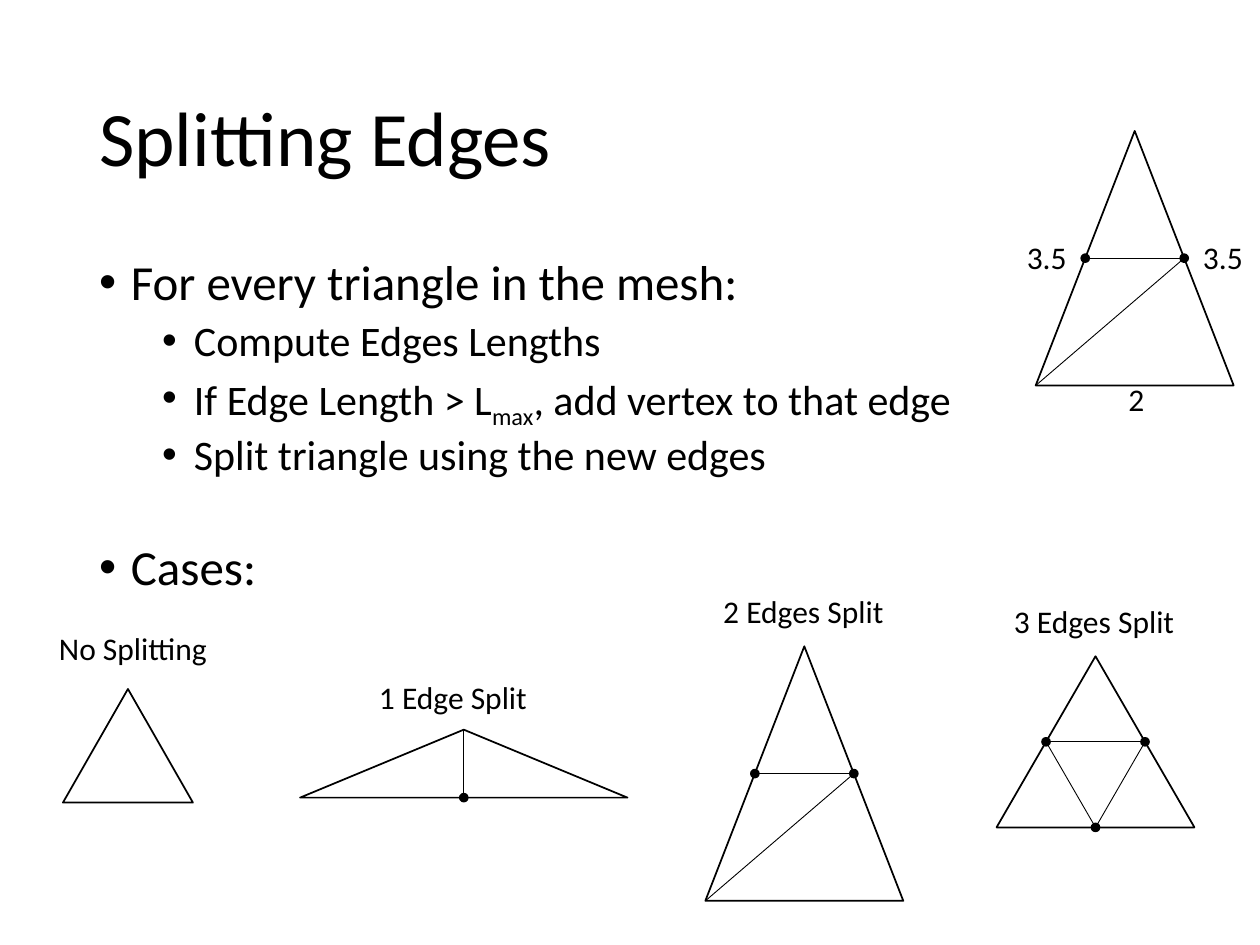
from lxml.etree import SubElement
from pptx import Presentation
from pptx.dml.color import RGBColor
from pptx.enum.shapes import MSO_CONNECTOR, MSO_SHAPE
from pptx.enum.text import MSO_ANCHOR
from pptx.oxml.ns import qn
from pptx.util import Cm, Pt

BLACK = RGBColor(0x00, 0x00, 0x00)
WHITE = RGBColor(0xFF, 0xFF, 0xFF)
FONT = "Calibri"
DOT = 0.16

# Points of a triangle as fractions of its box
APEX, CORNER = (0.5, 0), (0, 1)
LEFT, RIGHT, BASE = (0.25, 0.5), (0.75, 0.5), (0.5, 1)

# Inner edges and new vertices of each kind of split
NONE = ([], [])
ONE = ([(APEX, BASE)], [BASE])
TWO = ([(LEFT, RIGHT), (RIGHT, CORNER)], [LEFT, RIGHT])
THREE = ([(LEFT, RIGHT), (LEFT, BASE), (RIGHT, BASE)], [LEFT, RIGHT, BASE])

# Label, its left, top and width; triangle box; split
CASES = [
    ("No Splitting", (0.94, 12.55, 3.56), (1.27, 13.89, 2.62, 2.29), NONE),
    ("2 Edges Split", (14.33, 11.81, 3.78), (14.22, 13.03, 3.99, 5.13), TWO),
    ("1 Edge Split", (7.39, 13.54, 3.53), (6.05, 14.71, 6.6, 1.37), ONE),
    ("3 Edges Split", (20.19, 12.01, 3.78), (20.09, 13.23, 3.99, 3.45), THREE),
]

# Level, space before, runs as (text, is subscript)
POINTS = [
    (0, 0, [("For every triangle in the mesh:", False)]),
    (1, 5, [("Compute Edges Lengths", False)]),
    (1, 5, [("If Edge Length > L", False), ("max", True),
            (", add vertex to that edge", False)]),
    (1, 5, [("Split triangle using the new edges", False)]),
    (0, 36.4, [("Cases:", False)]),
]


def add_run(para, text, size):
    run = para.add_run()
    run.text = text
    run.font.name = FONT
    run.font.size = Pt(size)
    run.font.color.rgb = BLACK
    return run


def add_frame(shapes, box, wrap=True):
    frame = shapes.add_textbox(*map(Cm, box)).text_frame
    frame.word_wrap = wrap
    return frame


def add_label(shapes, text, left, top, width):
    frame = add_frame(shapes, (left, top, width, 1.02), wrap=False)
    add_run(frame.paragraphs[0], text, 18)


def add_solid(shapes, kind, box, fill):
    shape = shapes.add_shape(kind, *map(Cm, box))
    shape.shadow.inherit = False
    shape.fill.solid()
    shape.fill.fore_color.rgb = fill
    shape.line.color.rgb = BLACK
    shape.line.width = Pt(1)


def add_edge(shapes, start, end):
    edge = shapes.add_connector(MSO_CONNECTOR.STRAIGHT, *map(Cm, start + end))
    edge.line.color.rgb = BLACK
    edge.line.width = Pt(0.5)
    SubElement(edge._element.spPr, qn("a:effectLst"))


def add_split(shapes, box, split):
    """Draw a triangle in the box with its inner edges and new vertices."""
    left, top, width, height = box
    edges, dots = split

    def place(point):
        return left + point[0] * width, top + point[1] * height

    add_solid(shapes, MSO_SHAPE.ISOSCELES_TRIANGLE, box, WHITE)
    for start, end in edges:
        add_edge(shapes, place(start), place(end))
    for dot in dots:
        x, y = place(dot)
        spot = (x - DOT / 2, y - DOT / 2, DOT, DOT)
        add_solid(shapes, MSO_SHAPE.OVAL, spot, BLACK)


def add_title(shapes, box):
    frame = add_frame(shapes, box)
    frame.vertical_anchor = MSO_ANCHOR.MIDDLE
    para = frame.paragraphs[0]
    para.line_spacing = 0.9
    add_run(para, "Splitting Edges", 44)


def add_body(shapes, box):
    frame = add_frame(shapes, box)
    for i, (level, before, runs) in enumerate(POINTS):
        para = frame.paragraphs[0] if i == 0 else frame.add_paragraph()
        para.level = level
        para.line_spacing = 0.9
        para.space_before = Pt(before)
        props = para._p.get_or_add_pPr()
        props.set("marL", str(Cm(0.64 + 1.27 * level)))
        props.set("indent", str(Cm(-0.64)))
        SubElement(props, qn("a:buFont"), typeface="Arial")
        SubElement(props, qn("a:buChar"), char="•")
        for text, sub in runs:
            run = add_run(para, text, 24 if level else 28)
            if sub:
                run.font._element.set("baseline", "-25000")


def add_sample(shapes, box):
    """Draw the two-edge split with the lengths of its sides."""
    left, top, width, height = box
    add_label(shapes, "3.5", left - 0.43, top + 2.03, 1.32)
    add_label(shapes, "3.5", left + 3.12, top + 2.03, 1.32)
    add_label(shapes, "2", left + 1.62, top + 4.9, 0.84)
    add_split(shapes, box, TWO)


def main():
    deck = Presentation()
    deck.slide_width, deck.slide_height = Cm(25.4), Cm(19.05)
    shapes = deck.slides.add_slide(deck.slide_layouts[6]).shapes
    add_title(shapes, (1.75, 1.02, 21.9, 3.68))
    add_body(shapes, (1.75, 5.08, 21.9, 12.09))
    for text, spot, box, split in CASES:
        group = shapes.add_group_shape().shapes
        add_label(group, text, *spot)
        add_split(group, box, split)
    add_sample(shapes, (20.88, 2.64, 3.99, 5.13))
    deck.save("out.pptx")


if __name__ == "__main__":
    main()
